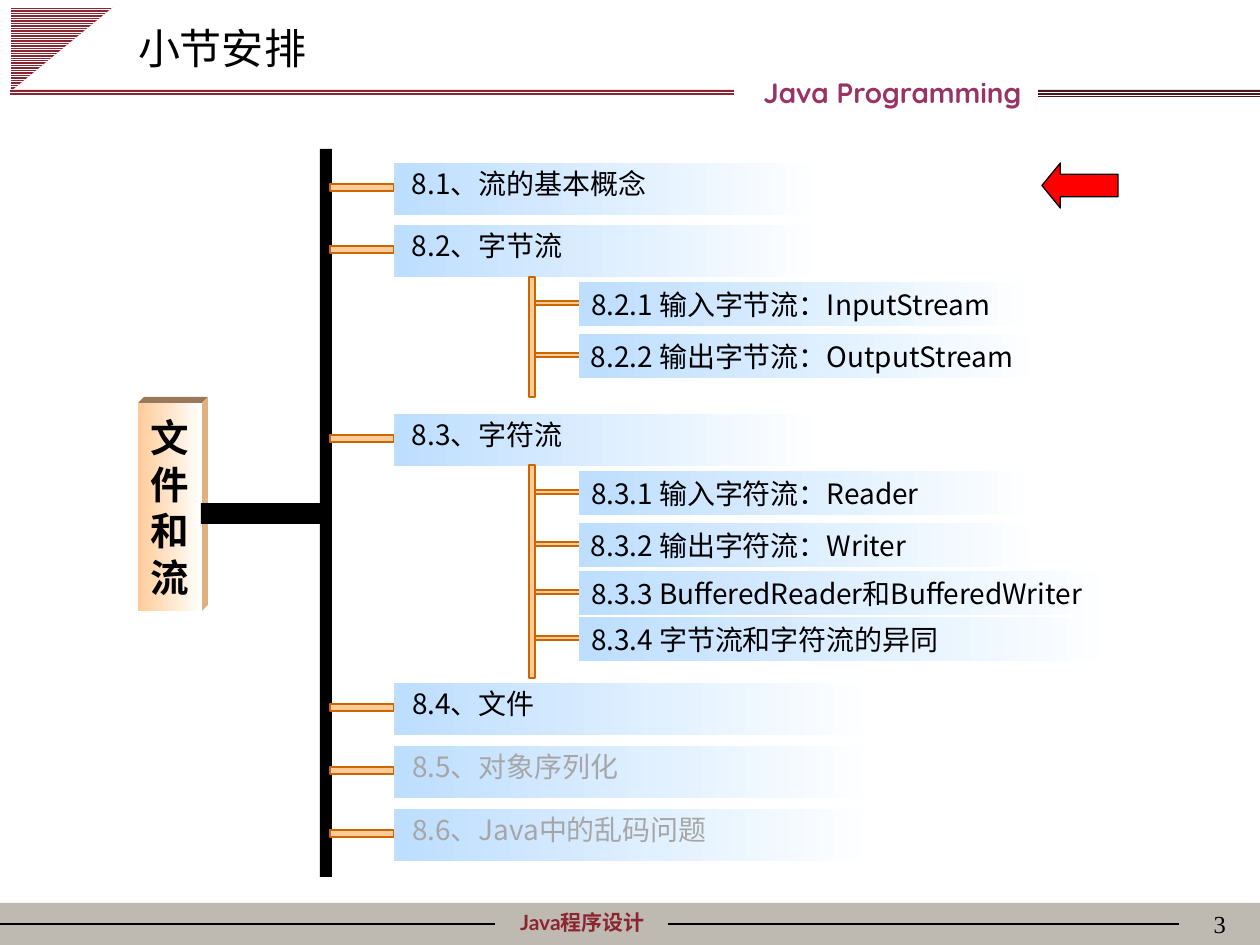
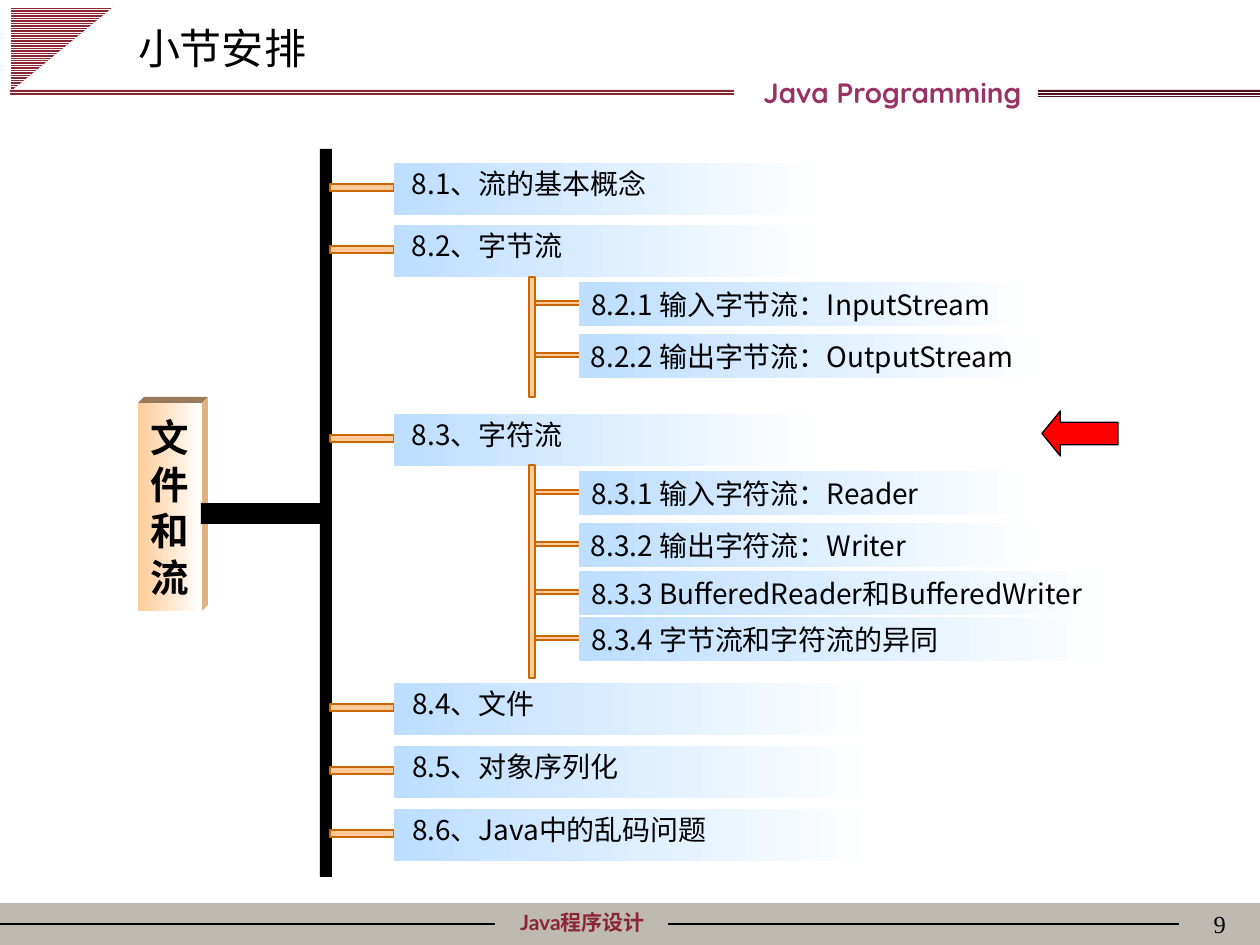
from lxml.etree import SubElement
from pptx import Presentation
from pptx.dml.color import RGBColor
from pptx.enum.dml import MSO_PATTERN as Pattern
from pptx.enum.shapes import MSO_CONNECTOR as Link, MSO_SHAPE as Kind
from pptx.enum.text import MSO_ANCHOR as Anchor, PP_ALIGN as Align
from pptx.oxml.ns import qn
from pptx.util import Emu, Pt

SCALE = 914400 / 126
HAN = "Noto Sans CJK SC"
BLACK, WHITE, GRAY = "000000", "FFFFFF", "A6A6A6"
WINE, DARK, PLUM, STONE = "8C2532", "4C141B", "993366", "BFBAB1"
PEACH, RUST, SKY, RED = "FFCC99", "CC6600", "BDDEFF", "FF0000"
ROOF, SIDE = "99795B", "DFB181"

SECTIONS = [
    (163, 430, "8.1、流的基本概念"),
    (225, 430, "8.2、字节流"),
    (414, 430, "8.3、字符流"),
    (683, 483, "8.4、文件"),
    (746, 483, "8.5、对象序列化"),
    (809, 483, "8.6、Java中的乱码问题"),
]
TOPICS = [
    (282, 460, "8.2.1 输入字节流：InputStream"),
    (334, 465, "8.2.2 输出字节流：OutputStream"),
    (471, 460, "8.3.1 输入字符流：Reader"),
    (523, 465, "8.3.2 输出字符流：Writer"),
    (571, 537, "8.3.3 BufferedReader和BufferedWriter"),
    (617, 537, "8.3.4 字节流和字符流的异同"),
]
STEMS = [(277, 120), (465, 213)]
PAGES = [("3", 163, 4), ("9", 411, 6)]


def px(*sizes):
    return [Emu(round(size * SCALE)) for size in sizes]


def tint(code):
    return RGBColor.from_string(code)


def write(shape, text, size, color=BLACK, font=HAN, bold=False,
          align=Align.LEFT, anchor=Anchor.MIDDLE, pads=(12, 6, 12, 6), wrap=True):
    frame = shape.text_frame
    frame.text = text
    frame.word_wrap = wrap
    frame.vertical_anchor = anchor
    (frame.margin_left, frame.margin_top,
     frame.margin_right, frame.margin_bottom) = px(*pads)
    para = frame.paragraphs[0]
    para.alignment = align
    para.space_before = Pt(0)
    style = para.runs[0].font
    style.name, style.size, style.bold = font, Pt(size), bold
    style.color.rgb = tint(color)
    SubElement(para.runs[0]._r.get_or_add_rPr(), qn("a:ea"), typeface=HAN)
    return para


def label(slide, box, text, size, **look):
    write(slide.shapes.add_textbox(*px(*box)), text, size, **look)


def paint(shape, fill, edge=None):
    shape.shadow.inherit = False
    shape.fill.solid()
    shape.fill.fore_color.rgb = tint(fill)
    if edge:
        shape.line.color.rgb = tint(edge)
        shape.line.width = Pt(0.75)
    else:
        shape.line.fill.background()
    return shape


def block(slide, box, fill, edge=None, kind=Kind.RECTANGLE):
    return paint(slide.shapes.add_shape(kind, *px(*box)), fill, edge)


def hatch(slide, box, color, kind=Kind.RECTANGLE):
    shape = block(slide, box, color, kind=kind)
    shape.fill.patterned()
    shape.fill.pattern = Pattern.LIGHT_HORIZONTAL
    shape.fill.fore_color.rgb = tint(WHITE)
    shape.fill.back_color.rgb = tint(color)
    return shape


def fade(slide, box, color):
    shape = block(slide, box, color)
    shape.fill.gradient()
    shape.fill.gradient_angle = 0
    for stop, code in zip(shape.fill.gradient_stops, (color, WHITE)):
        stop.color.rgb = tint(code)
    return shape


def facet(slide, points, color):
    path = slide.shapes.build_freeform(*points[0], scale=SCALE)
    path.add_line_segments(points[1:], close=True)
    paint(path.convert_to_shape(), color)


def rule(slide, left, right, y):
    line = slide.shapes.add_connector(Link.STRAIGHT, *px(left, y, right, y))
    line.line.color.rgb = tint(BLACK)
    line.line.width = Pt(0.75)
    SubElement(line._element.spPr, qn("a:effectLst"))


def decor(slide, page):
    block(slide, (0, 903, 1260, 42), STONE)
    label(slide, (456, 903, 253, 38), "Java程序设计", 12, color=WINE,
          font="Lato", bold=True, align=Align.CENTER)
    rule(slide, 0, 495, 924)
    rule(slide, 668, 1179, 924)
    hatch(slide, (20, -2, 84, 102), WINE, Kind.RIGHT_TRIANGLE).rotation = 90
    hatch(slide, (1038, 90, 222, 7), DARK)
    hatch(slide, (10, 90, 724, 6), WINE)
    label(slide, (640, 69, 505, 47), "Java Programming", 16, color=PLUM,
          font="Quicksand", bold=True, align=Align.CENTER)
    label(slide, (976, 903, 262, 63), page, 14, font="Times New Roman",
          align=Align.RIGHT, anchor=Anchor.TOP)


def head(slide, text):
    title = slide.shapes.title
    title.left, title.top, title.width, title.height = px(126, 16, 359, 63)
    write(title, text, 24)


def root(slide, text):
    left, top, right, low = 138, 403, 202, 611
    back, up = right + 6, top - 6
    facet(slide, [(left, top), (left + 6, up), (back, up), (right, top)], ROOF)
    facet(slide, [(right, top), (back, up), (back, low - 6), (right, low)], SIDE)
    face = fade(slide, (left, top, right - left, low - top), PEACH)
    para = write(face, text, 22, bold=True, align=Align.CENTER)
    para.line_spacing = Pt(26.5)
    block(slide, (201, 503, 126, 21), BLACK)
    block(slide, (320, 149, 12, 728), BLACK)


def tree(slide, ready):
    for spot, (top, width, text) in enumerate(SECTIONS):
        block(slide, (330, top + 21, 64, 7), PEACH, RUST)
        bar = fade(slide, (394, top, width, 52), SKY)
        write(bar, text, 16, color=BLACK if spot < ready else GRAY,
              pads=(18, 0, 12, 11), wrap=False)
    for top, width, text in TOPICS:
        block(slide, (532, top + 19, 64, 4), PEACH, RUST)
        bar = fade(slide, (579, top, width, 44), SKY)
        write(bar, text, 16, wrap=False)
    for top, height in STEMS:
        block(slide, (529, top, 6, height), PEACH, RUST)


def mark(slide, top):
    arrow = block(slide, (1042, top, 76, 45), RED, BLACK, Kind.LEFT_ARROW)
    arrow.adjustments[0], arrow.adjustments[1] = 0.5, 0.41


def main():
    deck = Presentation()
    deck.slide_width, deck.slide_height = px(1260, 945)
    for page, top, ready in PAGES:
        slide = deck.slides.add_slide(deck.slide_layouts[5])
        decor(slide, page)
        head(slide, "小节安排")
        root(slide, "文件和流")
        tree(slide, ready)
        mark(slide, top)
    deck.save("out.pptx")


if __name__ == "__main__":
    main()
